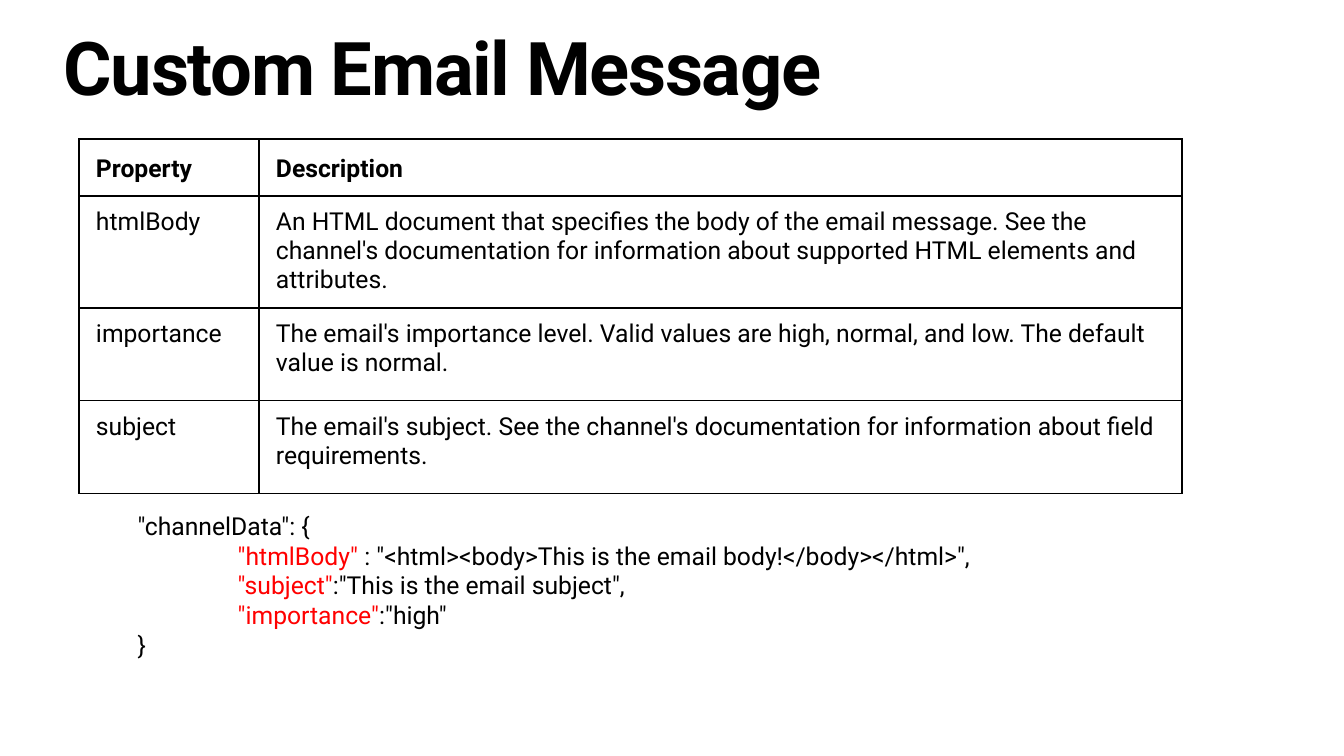
import lxml.etree
import pptx
import pptx.dml.color
import pptx.enum.text
import pptx.oxml.ns
import pptx.util
from dataclasses import dataclass

TITLE = "Custom Email Message"

PROPERTIES = [
    ("Property", "Description"),
    ("htmlBody", "An HTML document that specifies the body of the email message. "
                 "See the channel's documentation for information about supported "
                 "HTML elements and attributes."),
    ("importance", "The email's importance level. Valid values are high, normal, "
                   "and low. The default value is normal."),
    ("subject", "The email's subject. See the channel's documentation for "
                "information about field requirements."),
]

CODE = [
    ("", '"channelData": {'),
    ('"htmlBody" ', ': "<html><body>This is the email body!</body></html>",'),
    ('"subject"', ':"This is the email subject",'),
    ('"importance"', ':"high"'),
    ("", "}"),
]


@dataclass(frozen=True)
class Theme:
    font: str = "Roboto"
    text: str = "000000"
    key: str = "FF0000"
    title_size: int = 54
    body_size: int = 18
    border_width: int = 1


THEME = Theme()
EMU_PER_PX = 9255
SLIDE_SIZE = (1344, 756)
TITLE_BOX = (54, 27, 1284, 113)
TABLE_ORIGIN = (79, 139)
COLUMN_WIDTHS = (180, 923)
ROW_HEIGHTS = (57, 112, 93, 93)
CELL_INSETS = (17, 12)
CODE_BOX = (128, 506, 1005, 161)
CODE_INDENT = 100


def px(value):
    return pptx.util.Emu(value * EMU_PER_PX)


def style(font, size, color=THEME.text, bold=False):
    font.name = THEME.font
    font.size = pptx.util.Pt(size)
    font.bold = bold
    font.color.rgb = pptx.dml.color.RGBColor.from_string(color)


def add_borders(cell):
    properties = cell._tc.get_or_add_tcPr()
    for side in ("lnL", "lnR", "lnT", "lnB"):
        line = lxml.etree.SubElement(properties, pptx.oxml.ns.qn("a:" + side))
        line.set("w", str(pptx.util.Pt(THEME.border_width)))
        fill = lxml.etree.SubElement(line, pptx.oxml.ns.qn("a:solidFill"))
        lxml.etree.SubElement(fill, pptx.oxml.ns.qn("a:srgbClr")).set("val", THEME.text)


def add_title(slide):
    title = slide.shapes.title
    title.left, title.top, title.width, title.height = map(px, TITLE_BOX)
    frame = title.text_frame
    frame.text = TITLE
    frame.word_wrap = True
    frame.auto_size = pptx.enum.text.MSO_AUTO_SIZE.NONE
    frame.vertical_anchor = pptx.enum.text.MSO_ANCHOR.TOP
    paragraph = frame.paragraphs[0]
    paragraph.alignment = pptx.enum.text.PP_ALIGN.JUSTIFY
    paragraph.line_spacing = 0.9
    paragraph.space_before = pptx.util.Pt(0)
    run = paragraph.runs[0]
    style(run.font, THEME.title_size, bold=True)
    run.font._element.set("spc", "-100")


def add_property_table(slide):
    size = (sum(COLUMN_WIDTHS), sum(ROW_HEIGHTS))
    table = slide.shapes.add_table(
        len(PROPERTIES), len(COLUMN_WIDTHS), *map(px, TABLE_ORIGIN + size)).table
    table.first_row = False
    table.horz_banding = False
    for column, width in zip(table.columns, COLUMN_WIDTHS):
        column.width = px(width)
    for index, (row, height) in enumerate(zip(table.rows, ROW_HEIGHTS)):
        row.height = px(height)
        header = index == 0
        for cell, text in zip(row.cells, PROPERTIES[index]):
            cell.text = text
            cell.margin_left = cell.margin_right = px(CELL_INSETS[0])
            cell.margin_top = cell.margin_bottom = px(CELL_INSETS[1])
            cell.vertical_anchor = (pptx.enum.text.MSO_ANCHOR.BOTTOM if header
                                    else pptx.enum.text.MSO_ANCHOR.TOP)
            add_borders(cell)
            cell.fill.background()
            style(cell.text_frame.paragraphs[0].runs[0].font, THEME.body_size, bold=header)


def add_code(slide):
    frame = slide.shapes.add_textbox(*map(px, CODE_BOX)).text_frame
    frame.word_wrap = True
    for index, (key, rest) in enumerate(CODE):
        paragraph = frame.add_paragraph() if index else frame.paragraphs[0]
        if key:
            paragraph._p.get_or_add_pPr().set("marL", str(px(CODE_INDENT)))
        for text, color in ((key, THEME.key), (rest, THEME.text)):
            if text:
                run = paragraph.add_run()
                run.text = text
                style(run.font, THEME.body_size, color)


def main():
    presentation = pptx.Presentation()
    presentation.slide_width, presentation.slide_height = map(px, SLIDE_SIZE)
    slide = presentation.slides.add_slide(presentation.slide_layouts[5])
    add_title(slide)
    add_property_table(slide)
    add_code(slide)
    presentation.save("out.pptx")


if __name__ == "__main__":
    main()
